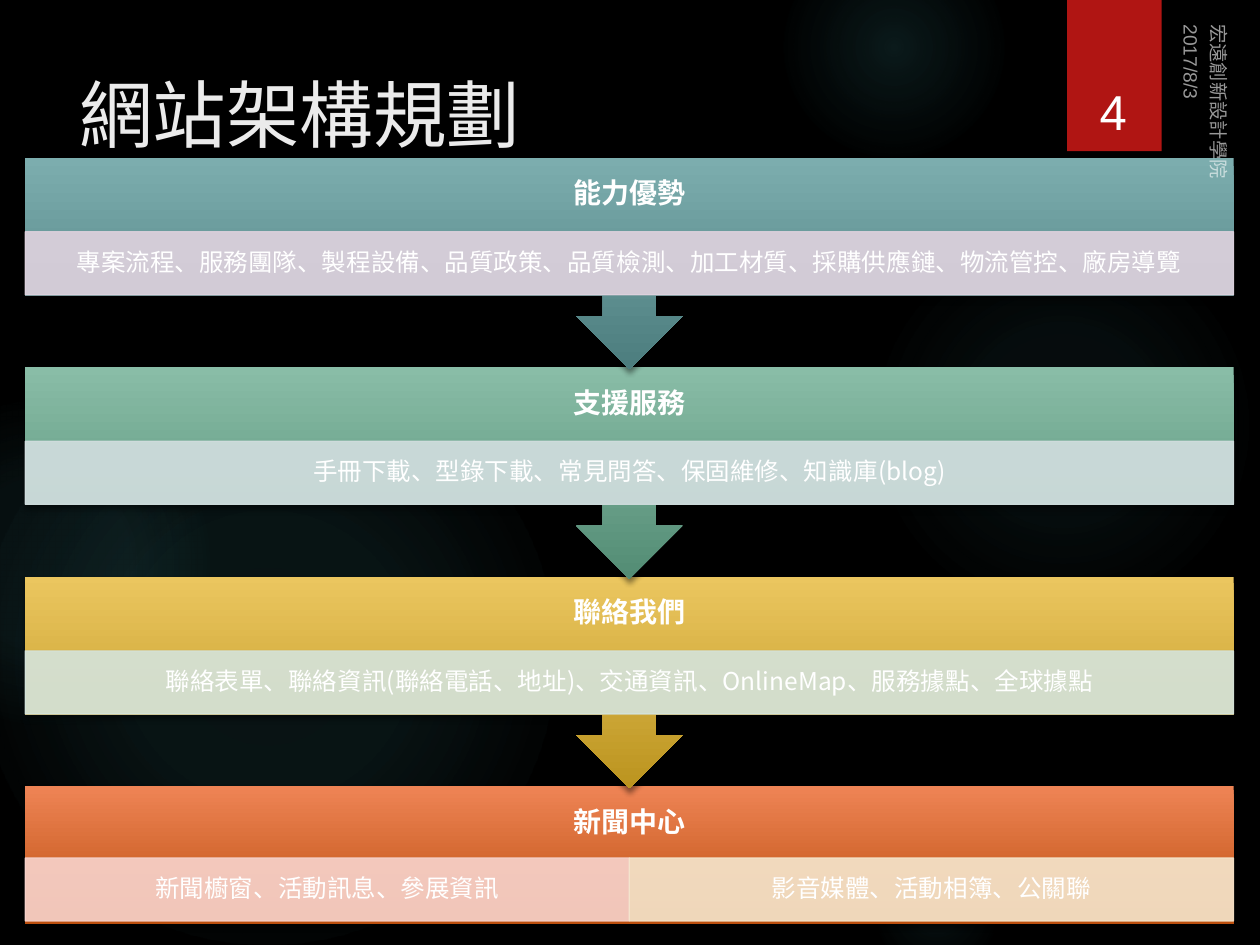
from dataclasses import dataclass

from lxml.etree import SubElement
from pptx import Presentation
from pptx.dml.color import RGBColor
from pptx.enum.shapes import MSO_SHAPE as Shape
from pptx.enum.text import MSO_ANCHOR as Anchor, MSO_AUTO_SIZE as AutoSize, PP_ALIGN as Align
from pptx.oxml import parse_xml
from pptx.oxml.ns import nsdecls, qn
from pptx.util import Inches, Pt


@dataclass(frozen=True)
class Theme:
    background: str = "000000"
    glow: str = "50B9C1"
    ribbon: str = "B01513"
    title: str = "EBEBEB"
    text: str = "FFFFFF"
    latin_font: str = "Arial"
    cjk_font: str = "Noto Sans CJK SC"
    title_size: int = 42
    number_size: int = 28
    heading_size: int = 16
    detail_size: int = 14
    margin_size: int = 11


@dataclass(frozen=True)
class Glow:
    left: float
    top: float
    diameter: float
    stops: tuple[tuple[int, int], ...]  # (position %, opacity %)


@dataclass(frozen=True)
class Detail:
    text: str
    color: str


@dataclass(frozen=True)
class Section:
    heading: str
    light: str
    dark: str
    details: tuple[Detail, ...]


THEME = Theme()
GLOWS = (
    Glow(6.89, 1.83, 3.08, ((0, 7), (36, 6), (69, 0))),
    Glow(6.22, -0.5, 1.75, ((0, 14), (36, 7), (73, 0))),
    Glow(6.89, 6.67, 1.08, ((0, 9), (36, 5), (66, 0))),
    Glow(-0.17, 2.92, 4.58, ((0, 11), (36, 10), (75, 0))),
    Glow(-0.92, 3.17, 2.58, ((0, 8), (36, 8), (72, 0))),
)
SECTIONS = (
    Section("能力優勢", "7CADAE", "4C7D7E", (
        Detail("專案流程、服務團隊、製程設備、品質政策、品質檢測、加工材質、採購供應鏈、物流管控、廠房導覽", "DFD2DE"),)),
    Section("支援服務", "89BDA7", "538C74", (
        Detail("手冊下載、型錄下載、常見問答、保固維修、知識庫(blog)", "D2DEDF"),)),
    Section("聯絡我們", "EBC65F", "BB941F", (
        Detail("聯絡表單、聯絡資訊(聯絡電話、地址)、交通資訊、OnlineMap、服務據點、全球據點", "D4E3DB"),)),
    Section("新聞中心", "EE8455", "BC4F0E", (
        Detail("新聞櫥窗、活動訊息、參展資訊", "F7D3CC"),
        Detail("影音媒體、活動相簿、公關聯", "F5E6CD"))),
)
FLOW_LEFT, FLOW_WIDTH = 0.2, 9.59
FIRST_TOP, LAST_TOP = 1.25, 6.24
CALLOUT_HEIGHT, LAST_HEIGHT = 1.68, 1.09
HEADING_HEIGHT, DETAIL_HEIGHT = 0.59, 0.5
LAST_DETAIL_OFFSET = 0.57


def set_opacity(container, percent: int) -> None:
    """Add an alpha value to every RGB colour inside an XML element."""
    for color in container.iter(qn("a:srgbClr")):
        SubElement(color, qn("a:alpha")).set("val", str(percent * 1000))


def add_block(slide, kind, left: float, top: float, width: float, height: float):
    block = slide.shapes.add_shape(
        kind, Inches(left), Inches(top), Inches(width), Inches(height))
    block.shadow.inherit = False
    block.line.fill.background()
    return block


def add_drop_shadow(block) -> None:
    effects = block._element.spPr.find(qn("a:effectLst"))
    shadow = SubElement(effects, qn("a:outerShdw"), blurRad=str(Pt(3)),
                        dist=str(Pt(2)), dir="5400000", rotWithShape="0")
    SubElement(shadow, qn("a:srgbClr"), val="000000")
    set_opacity(shadow, 45)


def write(shape, text: str, *, size: int, color: str = THEME.text, font: str = THEME.latin_font,
          bold: bool = False, align=Align.LEFT, anchor=Anchor.TOP, spacing: float = 1.0,
          inset: tuple[float, float] = (0.1, 0.05), opacity: int = 100) -> None:
    frame = shape.text_frame
    frame.word_wrap = True
    frame.auto_size = AutoSize.NONE
    frame.vertical_anchor = anchor
    frame.margin_left = frame.margin_right = Inches(inset[0])
    frame.margin_top = frame.margin_bottom = Inches(inset[1])
    paragraph = frame.paragraphs[0]
    paragraph.alignment = align
    paragraph.line_spacing = spacing
    run = paragraph.add_run()
    run.text = text
    run.font.size = Pt(size)
    run.font.bold = bold
    run.font.name = font
    run.font.color.rgb = RGBColor.from_string(color)
    properties = run._r.get_or_add_rPr()
    SubElement(properties, qn("a:ea"), typeface=THEME.cjk_font)
    if opacity < 100:
        set_opacity(properties, opacity)


def add_text(slide, text: str, left: float, top: float, width: float, height: float,
             rotation: int = 0, **style) -> None:
    box = slide.shapes.add_textbox(Inches(left), Inches(top), Inches(width), Inches(height))
    box.rotation = rotation
    write(box, text, **style)


def add_glow(slide, glow: Glow) -> None:
    """Draw a circle whose colour fades outwards from its centre."""
    circle = add_block(slide, Shape.OVAL, glow.left, glow.top, glow.diameter, glow.diameter)
    circle.fill.gradient()
    stops = "".join(
        f'<a:gs pos="{position * 1000}"><a:srgbClr val="{THEME.glow}">'
        f'<a:alpha val="{opacity * 1000}"/></a:srgbClr></a:gs>'
        for position, opacity in glow.stops)
    radial = parse_xml(
        f'<a:gradFill {nsdecls("a")} rotWithShape="1"><a:gsLst>{stops}</a:gsLst>'
        '<a:path path="circle"><a:fillToRect l="50000" t="50000" r="50000" b="50000"/></a:path>'
        '</a:gradFill>')
    properties = circle._element.spPr
    properties.replace(properties.find(qn("a:gradFill")), radial)


def add_detail(slide, detail: Detail, left: float, top: float, width: float) -> None:
    band = add_block(slide, Shape.RECTANGLE, left, top, width, DETAIL_HEIGHT)
    band.fill.solid()
    band.fill.fore_color.rgb = RGBColor.from_string(detail.color)
    band.line.color.rgb = RGBColor.from_string(detail.color)
    band.line.width = Pt(0.75)
    set_opacity(band._element.spPr, 90)
    write(band, detail.text, size=THEME.detail_size, font=THEME.cjk_font, align=Align.CENTER,
          anchor=Anchor.MIDDLE, spacing=0.9, inset=(0.11, 0.02))


def add_section(slide, section: Section, top: float, is_last: bool) -> None:
    kind = Shape.RECTANGLE if is_last else Shape.DOWN_ARROW_CALLOUT
    height = LAST_HEIGHT if is_last else CALLOUT_HEIGHT
    panel = add_block(slide, kind, FLOW_LEFT, top, FLOW_WIDTH, height)
    panel.fill.gradient()
    panel.fill.gradient_angle = 270
    for stop, position, color in zip(panel.fill.gradient_stops, (0, 1),
                                     (section.light, section.dark)):
        stop.position = position
        stop.color.rgb = RGBColor.from_string(color)
    add_drop_shadow(panel)
    add_text(slide, section.heading, FLOW_LEFT, top, FLOW_WIDTH, HEADING_HEIGHT,
             size=THEME.heading_size, font=THEME.cjk_font, bold=True, align=Align.CENTER,
             anchor=Anchor.MIDDLE, spacing=0.9, inset=(0.12, 0.12))
    detail_top = top + (LAST_DETAIL_OFFSET if is_last else HEADING_HEIGHT)
    width = FLOW_WIDTH / len(section.details)
    for column, detail in enumerate(section.details):
        add_detail(slide, detail, FLOW_LEFT + column * width, detail_top, width)


def main() -> None:
    deck = Presentation()
    deck.slide_width, deck.slide_height = Inches(10), Inches(7.5)
    slide = deck.slides.add_slide(deck.slide_layouts[5])
    slide.background.fill.solid()
    slide.background.fill.fore_color.rgb = RGBColor.from_string(THEME.background)

    for glow in GLOWS:
        add_glow(slide, glow)
    ribbon = add_block(slide, Shape.RECTANGLE, 8.47, 0, 0.75, 1.2)
    ribbon.fill.solid()
    ribbon.fill.fore_color.rgb = RGBColor.from_string(THEME.ribbon)
    add_drop_shadow(ribbon)

    title = slide.shapes.title
    title.left, title.top = Inches(0.53), Inches(0.5)
    title.width, title.height = Inches(7.72), Inches(1.53)
    write(title, "網站架構規劃", size=THEME.title_size, color=THEME.title)

    pitch = (LAST_TOP - FIRST_TOP) / (len(SECTIONS) - 1)
    # Bottom section first, so that each arrow tip lies over the next panel.
    for row, section in reversed(list(enumerate(SECTIONS))):
        add_section(slide, section, FIRST_TOP + row * pitch, row == len(SECTIONS) - 1)

    add_text(slide, "2017/8/3", 8.93, 0.51, 1.08, 0.25, rotation=90,
             size=THEME.margin_size, opacity=60)
    add_text(slide, "宏遠創新設計學院", 7.55, 2.08, 4.22, 0.25, rotation=90,
             size=THEME.margin_size, opacity=60, anchor=Anchor.BOTTOM)
    add_text(slide, "4", 8.49, 0.32, 0.69, 0.84, size=THEME.number_size,
             align=Align.CENTER, anchor=Anchor.BOTTOM)
    deck.save("out.pptx")


if __name__ == "__main__":
    main()
